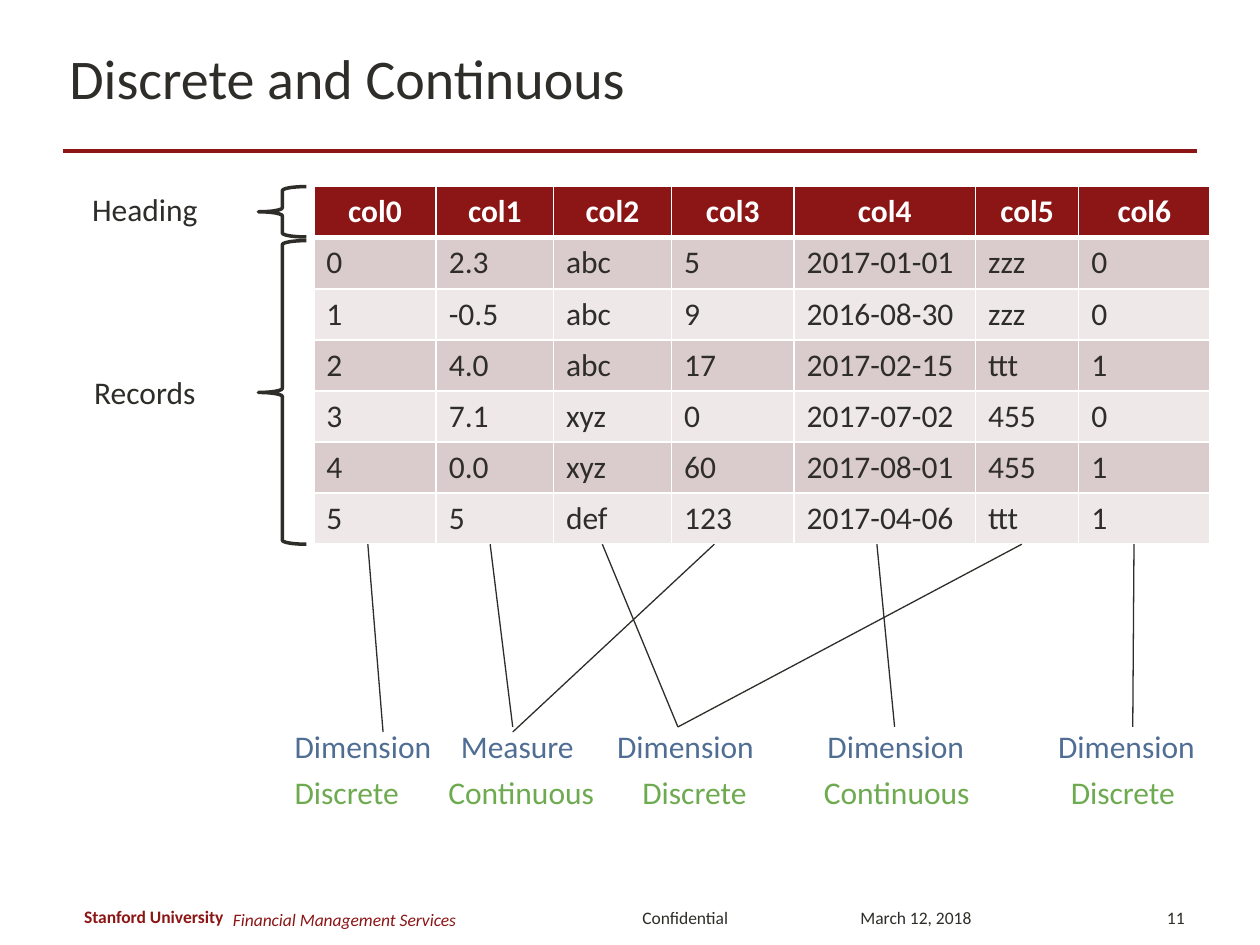
from lxml.etree import SubElement
from pptx import Presentation
from pptx.dml.color import RGBColor
from pptx.enum.shapes import MSO_CONNECTOR as Link, MSO_SHAPE as Form
from pptx.enum.text import MSO_ANCHOR as Anchor, PP_ALIGN as Align
from pptx.oxml import parse_xml
from pptx.oxml.ns import nsdecls, qn
from pptx.util import Pt

FONT = "Calibri"
RED, INK, WHITE = "8C1515", "2E2D29", "FFFFFF"
BLUE, GREEN = "506E94", "6EAA50"
BANDS = ["DACCCC", "EEE8E8"]

TITLE = "Discrete and Continuous"
ROWS = [
    ["col0", "col1", "col2", "col3", "col4", "col5", "col6"],
    ["0", "2.3", "abc", "5", "2017-01-01", "zzz", "0"],
    ["1", "-0.5", "abc", "9", "2016-08-30", "zzz", "0"],
    ["2", "4.0", "abc", "17", "2017-02-15", "ttt", "1"],
    ["3", "7.1", "xyz", "0", "2017-07-02", "455", "0"],
    ["4", "0.0", "xyz", "60", "2017-08-01", "455", "1"],
    ["5", "5", "def", "123", "2017-04-06", "ttt", "1"],
]
COLS = [70, 67, 67.5, 70, 103.7, 59, 75]
LEFT, TOP, ROW = 179.3, 106.6, 29.2
BASE = TOP + ROW * len(ROWS)

# name, label top, brace top, brace height
PARTS = [("Heading", 105, 106.6, 28.8), ("Records", 209.5, 137.5, 173.5)]

# role, left, kind, left
LABELS = [
    ("Dimension", 161.3, "Discrete", 161.3),
    ("Measure", 256.3, "Continuous", 249.1),
    ("Dimension", 345.6, "Discrete", 360),
    ("Dimension", 465.8, "Continuous", 463.7),
    ("Dimension", 597.6, "Discrete", 604.8),
]
WIDTHS = {"Dimension": 93.6, "Measure": 80, "Discrete": 75, "Continuous": 98.6}

# x at the table, x at the label, y at the label
LINKS = [
    (210.2, 218.9, 418.3), (280.1, 293, 415.4), (408.2, 293, 418.3),
    (344.2, 387.4, 415.4), (583.9, 387.4, 415.4), (501.1, 511.2, 415.4),
    (648, 647.3, 415.4),
]

# text, left, top, width, height, style
FOOTER = [
    ("Confidential", 360, 509.8, 73.4, 28.8, {}),
    ("Stanford University", 41, 514.1, 95.8, 19.4,
     {"color": RED, "bold": True, "wrap": False}),
    ("March 12, 2018", 484.6, 509.8, 99.4, 28.8, {}),
    ("11", 635.8, 509.8, 48.2, 28.8, {"align": Align.RIGHT}),
    ("Financial Management Services", 126, 510.8, 228.2, 28.8,
     {"color": RED, "italic": True}),
]


def rgb(code):
    return RGBColor.from_string(code)


def style(frame, size, color, bold=False, italic=False, align=Align.LEFT):
    for para in frame.paragraphs:
        para.alignment = align
        for run in para.runs:
            font = run.font
            font.name, font.size = FONT, Pt(size)
            font.bold, font.italic = bold, italic
            font.color.rgb = rgb(color)


def add_text(slide, text, left, top, width, height, size=18, color=INK,
             wrap=True, anchor=Anchor.TOP, **look):
    box = slide.shapes.add_textbox(Pt(left), Pt(top), Pt(width), Pt(height))
    frame = box.text_frame
    frame.text = text
    frame.word_wrap, frame.vertical_anchor = wrap, anchor
    style(frame, size, color, **look)


def add_line(slide, start, end, color, width):
    line = slide.shapes.add_connector(Link.STRAIGHT, *map(Pt, start + end))
    line.line.color.rgb, line.line.width = rgb(color), Pt(width)
    SubElement(line._element.spPr, qn("a:effectLst"))


def add_brace(slide, top, height):
    brace = slide.shapes.add_shape(
        Form.RIGHT_BRACE, Pt(147.6), Pt(top), Pt(27.4), Pt(height))
    brace.rotation = 180
    brace.shadow.inherit = False
    brace.fill.background()
    brace.line.color.rgb, brace.line.width = rgb(INK), Pt(2)


def set_borders(cell, head, under):
    """Rule a cell in white, thicker between the heading and the records."""
    widths = {"L": 1, "R": 1, "T": 3 if under else 1, "B": 3 if head else 1}
    for i, (side, width) in enumerate(widths.items()):
        cell._tc.get_or_add_tcPr().insert(i, parse_xml(
            f'<a:ln{side} {nsdecls("a")} w="{Pt(width)}"><a:solidFill>'
            f'<a:srgbClr val="{WHITE}"/></a:solidFill></a:ln{side}>'))


def add_grid(slide):
    table = slide.shapes.add_table(
        len(ROWS), len(COLS), Pt(LEFT), Pt(TOP),
        Pt(sum(COLS)), Pt(BASE - TOP)).table
    for col, width in zip(table.columns, COLS):
        col.width = Pt(width)
    for r, row in enumerate(ROWS):
        table.rows[r].height = Pt(ROW)
        head = r == 0
        for c, text in enumerate(row):
            cell = table.cell(r, c)
            cell.text = text
            cell.fill.solid()
            cell.fill.fore_color.rgb = rgb(RED if head else BANDS[(r - 1) % 2])
            set_borders(cell, head, r == 1)
            style(cell.text_frame, 18, WHITE if head else INK, bold=head,
                  align=Align.CENTER if head else Align.LEFT)


def main():
    deck = Presentation()
    deck.slide_width, deck.slide_height = Pt(720), Pt(540)
    slide = deck.slides.add_slide(deck.slide_layouts[5])

    title = slide.shapes.title
    title.left, title.top, title.width, title.height = map(
        Pt, (32.4, 13, 648, 62.6))
    title.text_frame.text = TITLE
    title.text_frame.vertical_anchor = Anchor.MIDDLE
    style(title.text_frame, 32, INK)
    add_line(slide, (36, 86.4), (684, 86.4), RED, 2.25)

    for text, *place, look in FOOTER:
        add_text(slide, text, *place, size=10, anchor=Anchor.MIDDLE, **look)

    add_grid(slide)
    for name, top, start, height in PARTS:
        add_brace(slide, start, height)
        add_text(slide, name, 18, top, 129.6, 29, align=Align.CENTER)

    for x, end, low in LINKS:
        add_line(slide, (x, BASE), (end, low), INK, 0.75)
    for role, left, kind, start in LABELS:
        add_text(slide, role, left, 412, WIDTHS[role], 29, color=BLUE, wrap=False)
        add_text(slide, kind, start, 438, WIDTHS[kind], 29, color=GREEN, wrap=False)

    deck.save("out.pptx")


if __name__ == "__main__":
    main()
